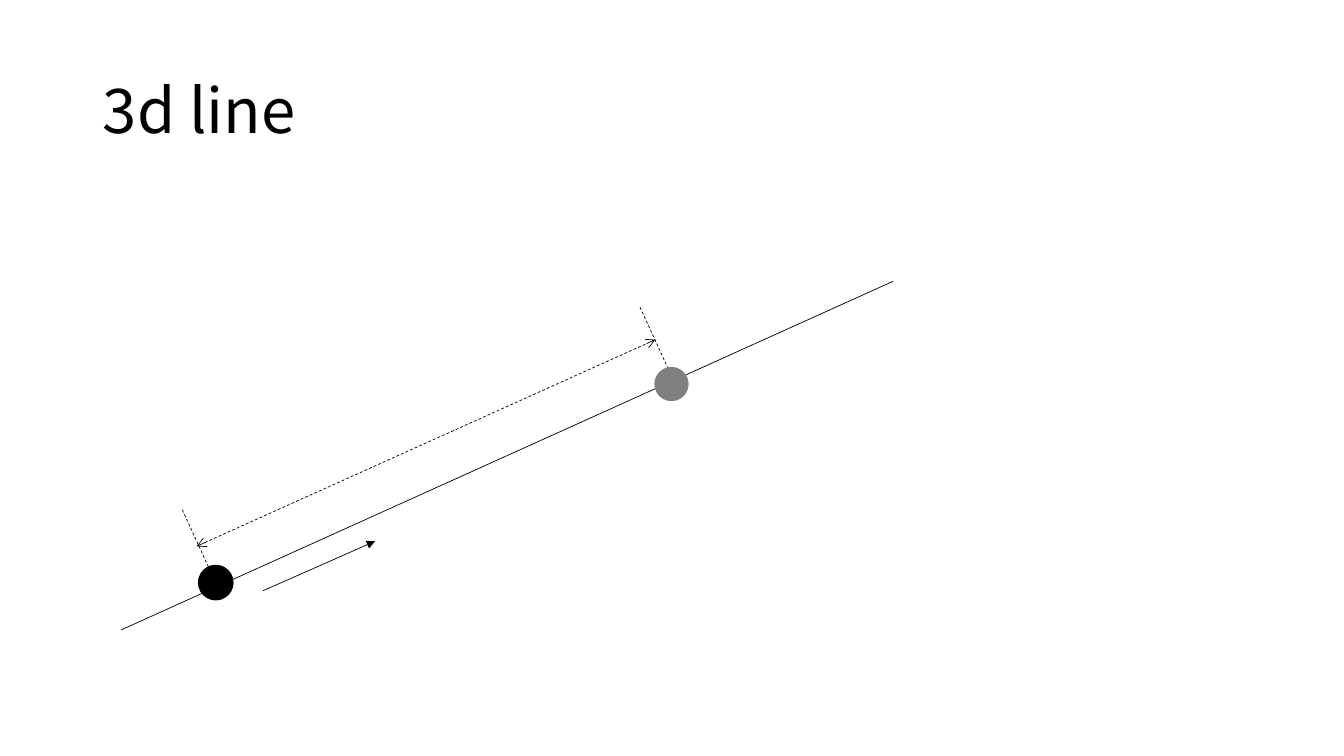
"""Build a slide that explains a line in 3d by a point, a direction and a distance."""
from lxml import etree
from pptx import Presentation
from pptx.dml.color import RGBColor
from pptx.enum.dml import MSO_LINE
from pptx.enum.shapes import MSO_CONNECTOR, MSO_SHAPE
from pptx.enum.text import MSO_ANCHOR, PP_ALIGN
from pptx.oxml.ns import qn
from pptx.util import Inches, Pt

BLACK = RGBColor(0x00, 0x00, 0x00)
GRAY = RGBColor(0x80, 0x80, 0x80)
FONT = "Noto Sans CJK JP"
STRAIGHT = MSO_CONNECTOR.STRAIGHT
OVAL = MSO_SHAPE.OVAL
DASH = MSO_LINE.DASH
LEFT = PP_ALIGN.LEFT
MIDDLE = MSO_ANCHOR.MIDDLE

COLUMNS, ROWS = 13.33, 7.5
CELL = Inches(1)
DOT = 0.34
TICK = (-0.33, -0.72)


def grid(*cells):
    """Turn counts of grid cells into slide lengths."""
    return [round(cell * CELL) for cell in cells]


def write(box, text, *, size, color=BLACK, font=FONT, align=LEFT, spacing=0.9):
    """Fill a box with one formatted paragraph."""
    frame = box.text_frame
    frame.word_wrap = True
    frame.vertical_anchor = MIDDLE
    para = frame.paragraphs[0]
    para.alignment = align
    para.line_spacing = spacing
    span = para.add_run()
    span.text = text
    span.font.size = Pt(size)
    span.font.name = font
    span.font.color.rgb = color
    properties = span.font._element
    etree.SubElement(properties, qn("a:ea")).set("typeface", font)


def add_title(page, text):
    """Place and fill the title placeholder."""
    title = page.shapes.title
    title.left, title.top, title.width, title.height = grid(0.92, 0.4, 11.5, 1.45)
    write(title, text, size=44)


def add_line(page, start, end, *, dash=None, head=None, tail=None):
    """Draw a thin line with optional dashes and arrowheads."""
    line = page.shapes.add_connector(STRAIGHT, *grid(*start, *end))
    line.line.color.rgb = BLACK
    line.line.width = Pt(0.5)
    if dash:
        line.line.dash_style = dash
    properties = line._element.spPr
    outline = properties.find(qn("a:ln"))
    for tag, kind in (("a:headEnd", head), ("a:tailEnd", tail)):
        if kind:
            etree.SubElement(outline, qn(tag)).set("type", kind)
    etree.SubElement(properties, qn("a:effectLst"))


def add_tick(page, start):
    """Draw a dashed tick at right angles to the main line."""
    end = [place + step for place, step in zip(start, TICK)]
    add_line(page, start, end, dash=DASH)


def add_dot(page, left, top, color, *, outlined=False):
    """Draw a round point on the line."""
    dot = page.shapes.add_shape(OVAL, *grid(left, top, DOT, DOT))
    dot.shadow.inherit = False
    dot.fill.solid()
    dot.fill.fore_color.rgb = color
    if outlined:
        dot.line.color.rgb = color
        dot.line.width = Pt(1)
    else:
        dot.line.fill.background()


def main():
    """Build and save the deck."""
    deck = Presentation()
    deck.slide_width, deck.slide_height = grid(COLUMNS, ROWS)
    page = deck.slides.add_slide(deck.slide_layouts[5])
    add_title(page, "3d line")
    add_line(page, (1.2, 6.25), (8.86, 2.79))
    add_dot(page, 1.97, 5.61, BLACK, outlined=True)
    add_line(page, (2.61, 5.86), (3.72, 5.37), tail="triangle")
    for start in ((6.67, 3.75), (2.13, 5.76)):
        add_tick(page, start)
    add_line(page, (1.95, 5.42), (6.5, 3.37), dash=DASH, head="arrow", tail="arrow")
    add_dot(page, 6.49, 3.64, GRAY)
    deck.save("out.pptx")


if __name__ == "__main__":
    main()
